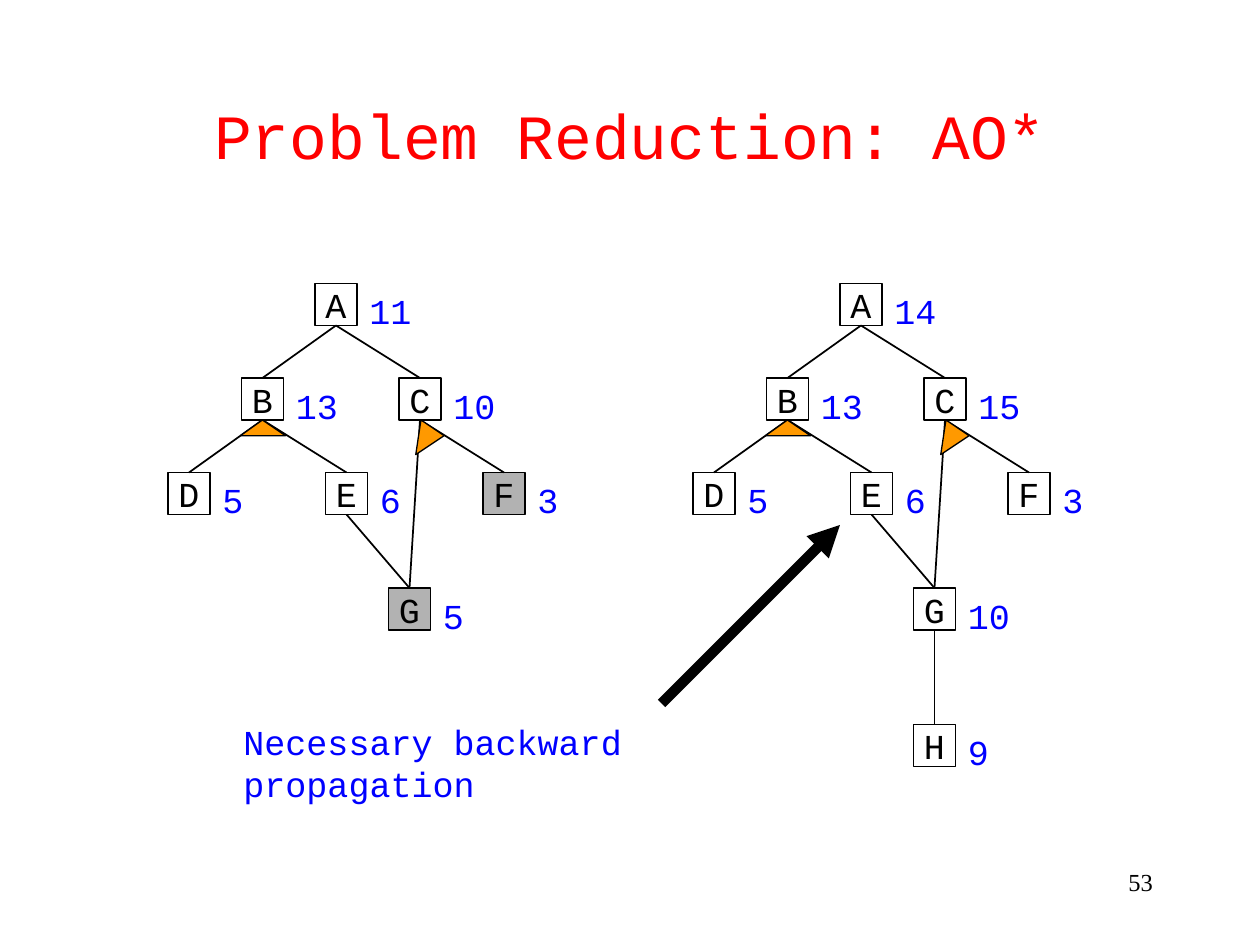
import pptx
import pptx.util
import pptx.dml.color
import pptx.enum.shapes
import pptx.enum.text
import pptx.oxml
import pptx.oxml.ns

ALIGN = pptx.enum.text.PP_ALIGN
ANCHOR = pptx.enum.text.MSO_ANCHOR
AUTO_SIZE = pptx.enum.text.MSO_AUTO_SIZE
SHAPE = pptx.enum.shapes.MSO_SHAPE
STRAIGHT = pptx.enum.shapes.MSO_CONNECTOR.STRAIGHT

BLACK, RED, BLUE = "000000", "FF0000", "0000FF"
GREY, ORANGE = "B2B2B2", "FF9900"
NODE_SIZE = 4
SECOND_TREE_SHIFT = 50
PLACES = {
    "A": (30, 27), "B": (23, 36), "C": (38, 36), "D": (16, 45),
    "E": (31, 45), "F": (46, 45), "G": (37, 56), "H": (37, 69),
}
EDGES = ("AB", "AC", "BD", "BE", "EG", "CG", "CF", "GH")
AND_ARCS = (
    ((25, 40), (22.9, 41.5), (27.2, 41.5)),
    ((40.1, 40), (39.6, 43.3), (42.3, 41.5)),
)
FIRST_COSTS = {"A": 11, "B": 13, "C": 10, "D": 5, "E": 6, "F": 3, "G": 5}
SECOND_COSTS = {"A": 14, "B": 13, "C": 15, "D": 5, "E": 6, "F": 3, "G": 10, "H": 9}


def grid(steps):
    return pptx.util.Cm(2.54 * steps / 12)


def rgb(hex_colour):
    return pptx.dml.color.RGBColor.from_string(hex_colour)


class SlideBuilder:
    mono = {"name": "Courier New", "size": pptx.util.Pt(20)}
    heading = {"name": "Courier New", "size": pptx.util.Pt(36)}
    footer = {"name": "Times New Roman", "size": pptx.util.Pt(14)}

    def __init__(self, slide):
        self.slide = slide

    def set_words(self, frame, words, style, colour, align, **frame_format):
        for attribute, value in frame_format.items():
            setattr(frame, attribute, value)
        paragraph = frame.paragraphs[0]
        paragraph.text = words
        paragraph.alignment = align
        font = paragraph.runs[0].font
        for attribute, value in style.items():
            setattr(font, attribute, value)
        font.color.rgb = rgb(colour)

    def outline(self, element, width):
        element.line.color.rgb = rgb(BLACK)
        element.line.width = pptx.util.Pt(width)

    def title(self, words):
        heading = self.slide.shapes.title
        bounds = {"left": 9, "top": 5.25, "width": 102, "height": 15}
        for attribute, steps in bounds.items():
            setattr(heading, attribute, grid(steps))
        self.set_words(heading.text_frame, words, self.heading, RED, ALIGN.CENTER,
                       vertical_anchor=ANCHOR.MIDDLE, auto_size=AUTO_SIZE.NONE)

    def label(self, words, left, top, width, height=5.3, style=mono,
              colour=BLUE, align=ALIGN.LEFT, auto_size=AUTO_SIZE.SHAPE_TO_FIT_TEXT):
        box = self.slide.shapes.add_textbox(*map(grid, (left, top, width, height)))
        self.set_words(box.text_frame, words, style, colour, align,
                       word_wrap=True, auto_size=auto_size)

    def node(self, name, left, top, fill):
        square = self.slide.shapes.add_shape(
            SHAPE.RECTANGLE, *map(grid, (left, top, NODE_SIZE, NODE_SIZE)))
        square.shadow.inherit = False
        if fill:
            square.fill.solid()
            square.fill.fore_color.rgb = rgb(fill)
        else:
            square.fill.background()
        self.outline(square, 1)
        self.set_words(square.text_frame, name, self.mono, BLACK, ALIGN.CENTER,
                       word_wrap=False, vertical_anchor=ANCHOR.MIDDLE)
        return square

    def line(self, start, end, width=1):
        stroke = self.slide.shapes.add_connector(STRAIGHT, *map(grid, (*start, *end)))
        self.outline(stroke, width)
        stroke.element.spPr.append(pptx.oxml.parse_xml(
            f"<a:effectLst {pptx.oxml.ns.nsdecls('a')}/>"))
        return stroke

    def edge(self, parent, child):
        stroke = self.line((0, 0), (1, 1))
        stroke.begin_connect(parent, 2)
        stroke.end_connect(child, 0)

    def arrow(self, start, end, width):
        stroke = self.line(start, end, width)
        stroke.get_or_add_ln().append(pptx.oxml.parse_xml(
            f"<a:tailEnd {pptx.oxml.ns.nsdecls('a')} type='triangle'/>"))

    def and_arc(self, corners, shift):
        apex, *base = [(grid(x + shift), grid(y)) for x, y in corners]
        builder = self.slide.shapes.build_freeform(*apex)
        builder.add_line_segments(base, close=True)
        arc = builder.convert_to_shape()
        arc.shadow.inherit = False
        arc.fill.solid()
        arc.fill.fore_color.rgb = rgb(ORANGE)
        self.outline(arc, 0.75)

    def tree(self, costs, shift=0, expanded=""):
        nodes = {}
        for name, cost in costs.items():
            left, top = PLACES[name]
            left += shift
            nodes[name] = self.node(name, left, top, GREY if name in expanded else None)
            self.label(str(cost), left + NODE_SIZE, top, 3 + 2 * len(str(cost)))
        for parent, child in EDGES:
            if child in nodes:
                self.edge(nodes[parent], nodes[child])
        for corners in AND_ARCS:
            self.and_arc(corners, shift)


def main():
    deck = pptx.Presentation()
    deck.slide_width = grid(120)
    deck.slide_height = grid(90)
    page = SlideBuilder(deck.slides.add_slide(deck.slide_layouts[5]))
    page.title("Problem Reduction: AO*")
    page.tree(FIRST_COSTS, expanded="FG")
    page.tree(SECOND_COSTS, SECOND_TREE_SHIFT)
    page.label("Necessary backward propagation", 22, 68, 57)
    page.arrow((63, 67), (80, 50), 6)
    page.label("53", 86, 82, 25, 6, page.footer, BLACK, ALIGN.RIGHT, AUTO_SIZE.NONE)
    deck.save("out.pptx")


if __name__ == "__main__":
    main()
